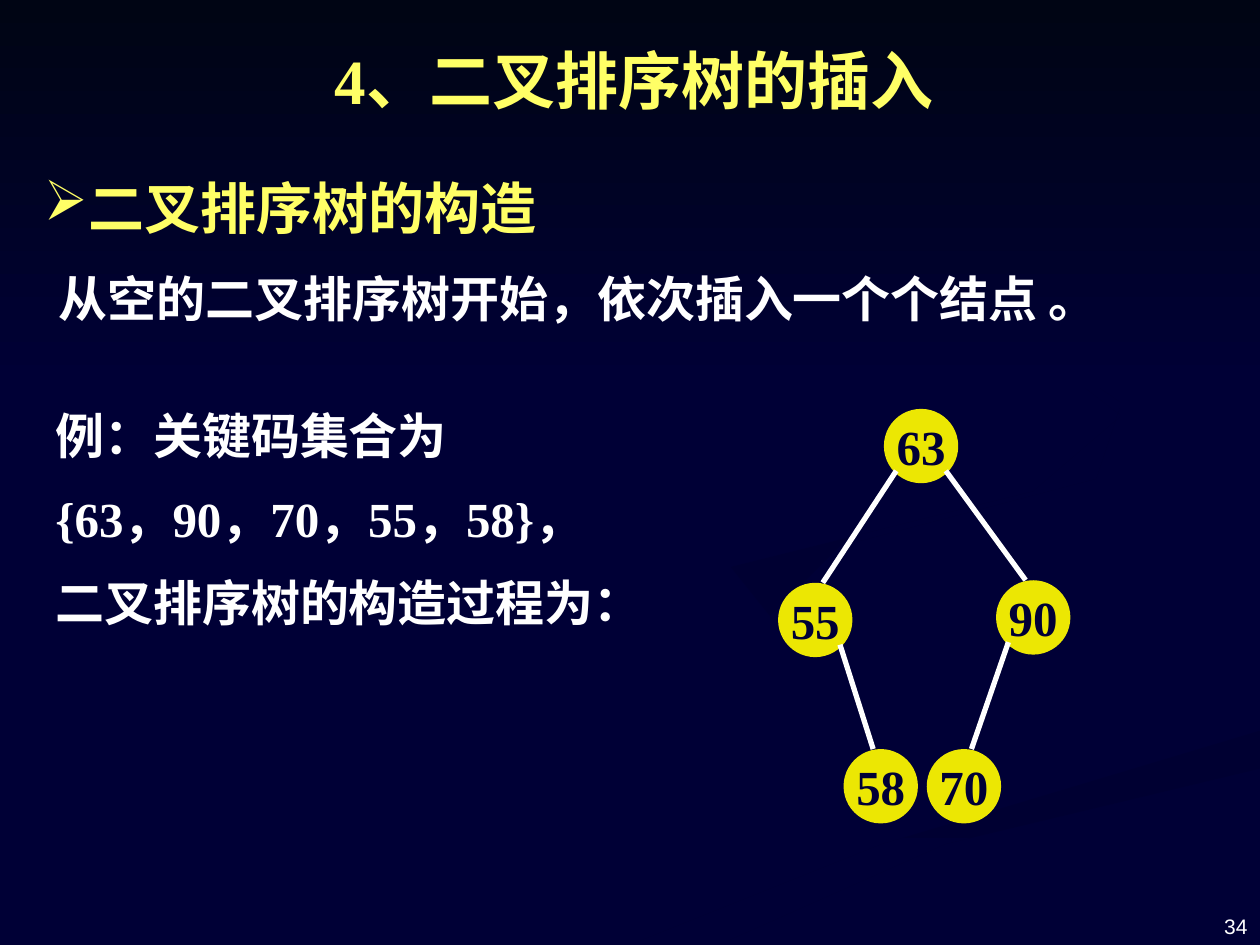
import pptx
import pptx.util
import pptx.dml.color
import pptx.enum.shapes
import pptx.enum.text
from lxml import etree

# The slide is a grid of 100 columns by 75 rows
COLUMNS, ROWS = 100, 75
CELL = pptx.util.Inches(0.1)
NAVY, YELLOW, WHITE, DISC = "000036", "FFFF66", "FFFFFF", "ECE703"
LATIN, HAN = "Times New Roman", "Noto Sans CJK SC"
SHAPES = pptx.enum.shapes.MSO_SHAPE
TEXT = pptx.enum.text

# Background ribbons: gradient angle and outline in whole cells
RIBBONS = [
    (90, [(20, 52), (27, 52), (45, 44), (70, 38), (70, 35), (40, 44)]),
    (45, [(38, 20), (57, 15), (59, 9), (46, 0), (59, 10), (52, 16), (28, 22), (32, 27)]),
]

# Tree nodes: key, centre as column and row, parent key
NODES = [
    ("63", 11.4, 3, None),
    ("55", 3, 16.8, "63"),
    ("90", 20.3, 16.6, "63"),
    ("58", 8.2, 30, "55"),
    ("70", 14.8, 30, "90"),
]
NODE_SIZE = 5.9


def colour(hex_text):
    return pptx.dml.color.RGBColor.from_string(hex_text)


def cells(*lengths):
    return [round(length * CELL) for length in lengths]


def paint(shape, first, last, angle):
    """Fill with a clockwise gradient and remove line and shadow."""
    shape.shadow.inherit = False
    shape.line.fill.background()
    shape.fill.gradient()
    shape.fill.gradient_angle = 360 - angle
    for stop, shade in zip(shape.fill.gradient_stops, (first, last)):
        stop.color.rgb = colour(shade)


def style(paragraph, size, shade, bold=True, latin=LATIN):
    for run in paragraph.runs:
        run.font.size = pptx.util.Pt(size)
        run.font.bold = bold
        run.font.name = latin
        run.font.color.rgb = colour(shade)
        han = etree.SubElement(run.font._element, pptx.oxml.ns.qn("a:ea"))
        han.set("typeface", HAN)


def write(slide, box, lines, size, shade, side=1, wrap=True, **look):
    """Place a text box and return its frame."""
    frame = slide.shapes.add_textbox(*cells(*box)).text_frame
    frame.word_wrap = wrap
    frame.margin_left = frame.margin_right = cells(side)[0]
    frame.text = "\n".join(lines)
    for index, paragraph in enumerate(frame.paragraphs):
        if index:
            paragraph.space_before = pptx.util.Pt(size / 2)
        style(paragraph, size, shade, **look)
    return frame


def draw_backdrop(slide, box):
    left, top, _, _ = box
    slide.background.fill.solid()
    slide.background.fill.fore_color.rgb = colour(NAVY)
    for angle, outline in RIBBONS:
        builder = slide.shapes.build_freeform(*outline[0], scale=CELL)
        builder.add_line_segments(outline[1:], close=True)
        paint(builder.convert_to_shape(*cells(left, top)), "000032", NAVY, angle)
    # Dark sky across the top
    sky = slide.shapes.add_shape(SHAPES.RECTANGLE, *cells(0, 0, COLUMNS, 30.8))
    paint(sky, "000514", NAVY, 90)


def draw_headings(slide, box):
    left, top, width, _ = box
    write(slide, (left + 23.1, top, 50.8, 7), ["4、二叉排序树的插入"], 36, YELLOW, wrap=False)
    section = write(slide, (left, top + 10.5, 45, 6.3), ["二叉排序树的构造"], 32, YELLOW)
    properties = section.paragraphs[0]._p.get_or_add_pPr()
    etree.SubElement(properties, pptx.oxml.ns.qn("a:buChar")).set("char", "➢")
    write(slide, (left + 1.2, top + 18, width, 5.7),
          ["从空的二叉排序树开始，依次插入一个个结点 。"], 28, WHITE)


def draw_example(slide, box):
    example = write(slide, box, ["例：关键码集合为", "{63，90，70，55，58}，",
                                 "二叉排序树的构造过程为："], 28, WHITE, side=0)
    example.paragraphs[-1].runs[0].font.name = HAN


def draw_branch(slide, parent, child):
    """Join the lower side of the parent to the top of the child."""
    (parent_x, parent_y), (child_x, child_y) = parent, child
    side = 1 if child_x > parent_x else -1
    reach = NODE_SIZE / 3
    branch = slide.shapes.add_connector(
        pptx.enum.shapes.MSO_CONNECTOR.STRAIGHT,
        *cells(parent_x + side * reach, parent_y + reach,
               child_x - side * 0.6, child_y - NODE_SIZE / 2))
    branch.line.color.rgb = colour(WHITE)
    branch.line.width = pptx.util.Pt(3)
    etree.SubElement(branch._element.spPr, pptx.oxml.ns.qn("a:effectLst"))


def draw_tree(slide, box):
    left, top, _, _ = box
    centres = {key: (left + x, top + y) for key, x, y, _ in NODES}
    for key, _, _, parent in NODES:
        if parent:
            draw_branch(slide, centres[parent], centres[key])
        x, y = (middle - NODE_SIZE / 2 for middle in centres[key])
        disc = slide.shapes.add_shape(SHAPES.OVAL, *cells(x, y, NODE_SIZE, NODE_SIZE))
        disc.shadow.inherit = False
        disc.fill.solid()
        disc.fill.fore_color.rgb = colour(DISC)
        disc.line.fill.background()
        label = disc.text_frame
        label.margin_left = label.margin_right = label.margin_top = label.margin_bottom = 0
        label.word_wrap = False
        label.vertical_anchor = TEXT.MSO_ANCHOR.MIDDLE
        label.text = key
        label.paragraphs[0].alignment = TEXT.PP_ALIGN.CENTER
        style(label.paragraphs[0], 28, NAVY)


def draw_page_number(slide, box):
    number = write(slide, box, ["34"], 12, WHITE, bold=False, latin="Arial")
    number.vertical_anchor = TEXT.MSO_ANCHOR.BOTTOM
    number.paragraphs[0].alignment = TEXT.PP_ALIGN.RIGHT


def main():
    deck = pptx.Presentation()
    deck.slide_width, deck.slide_height = cells(COLUMNS, ROWS)
    slide = deck.slides.add_slide(deck.slide_layouts[6])
    draw_backdrop(slide, (30, 23, 70, 52))
    draw_page_number(slide, (76.7, 69.8, 23.3, 5.2))
    draw_headings(slide, (2.5, 2.8, 88.3, 23.7))
    draw_example(slide, (4.4, 31.7, 47.7, 19.7))
    draw_tree(slide, (61.7, 32.4, 23.2, 33))
    deck.save("out.pptx")


if __name__ == "__main__":
    main()
